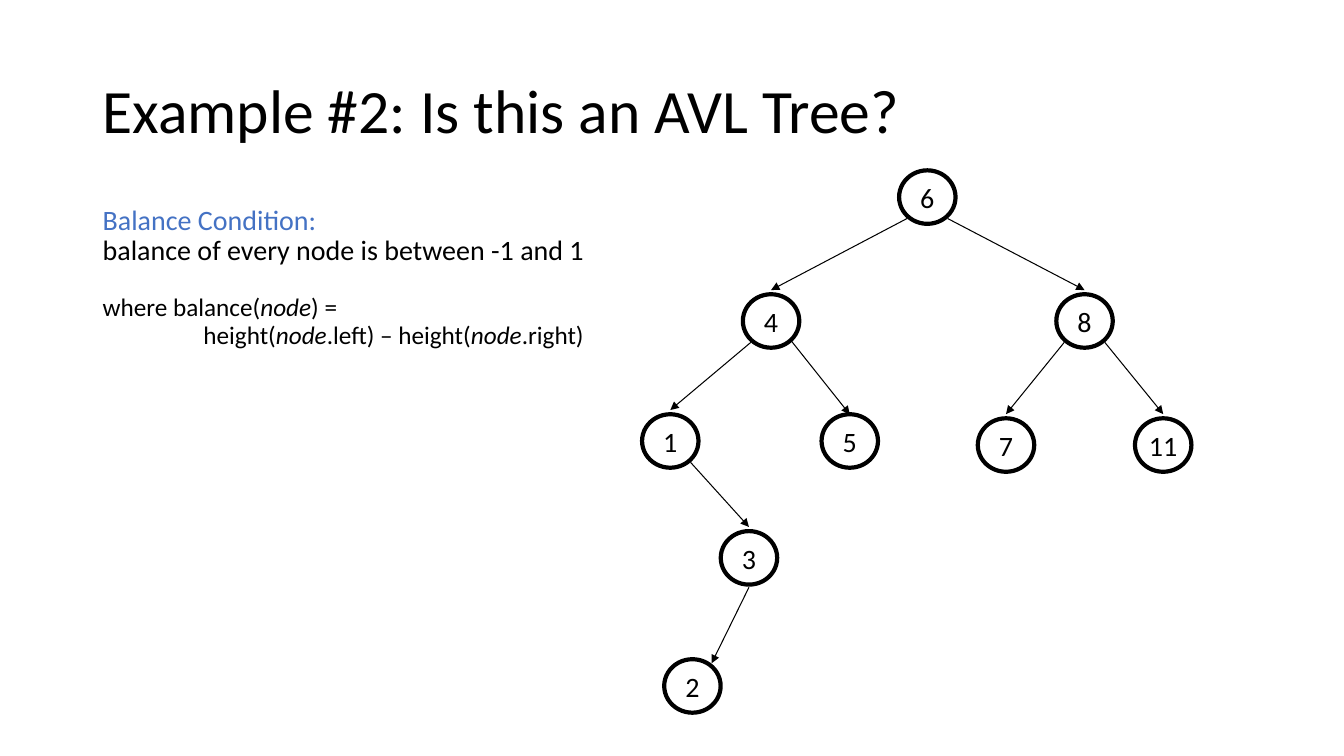
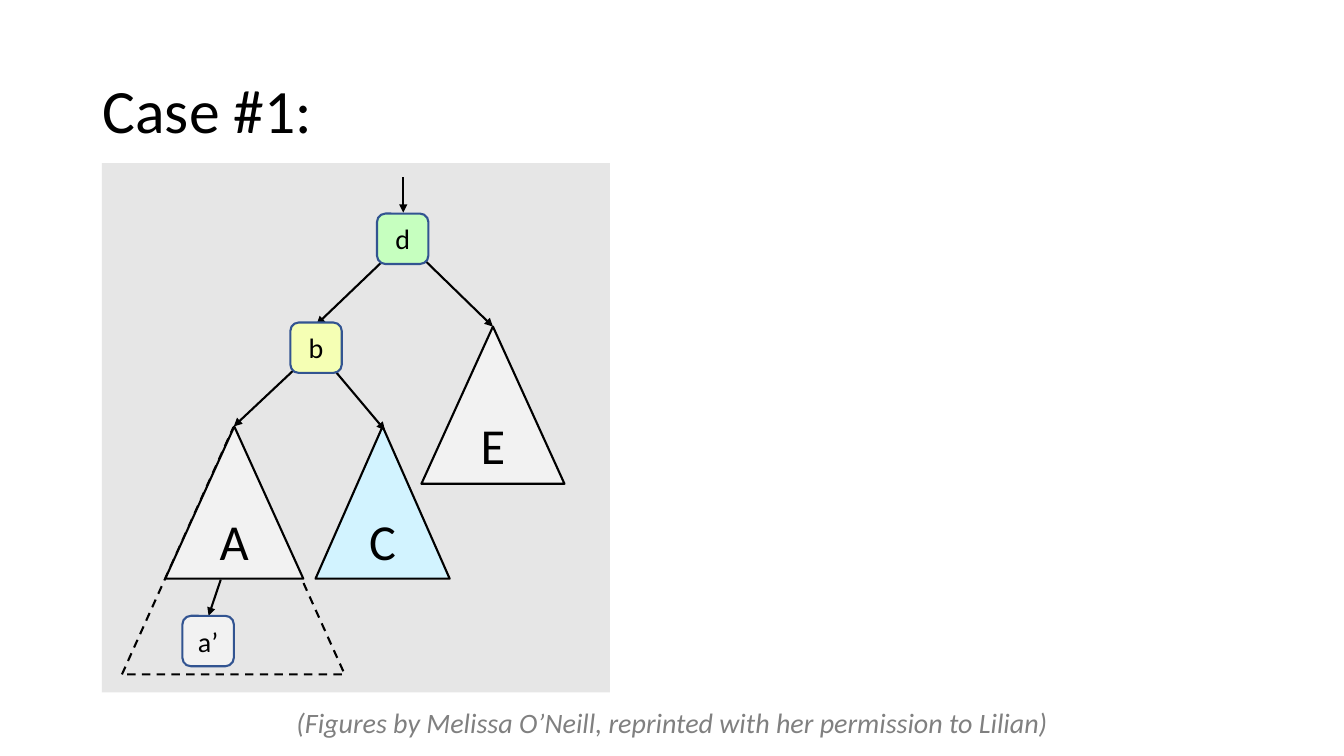
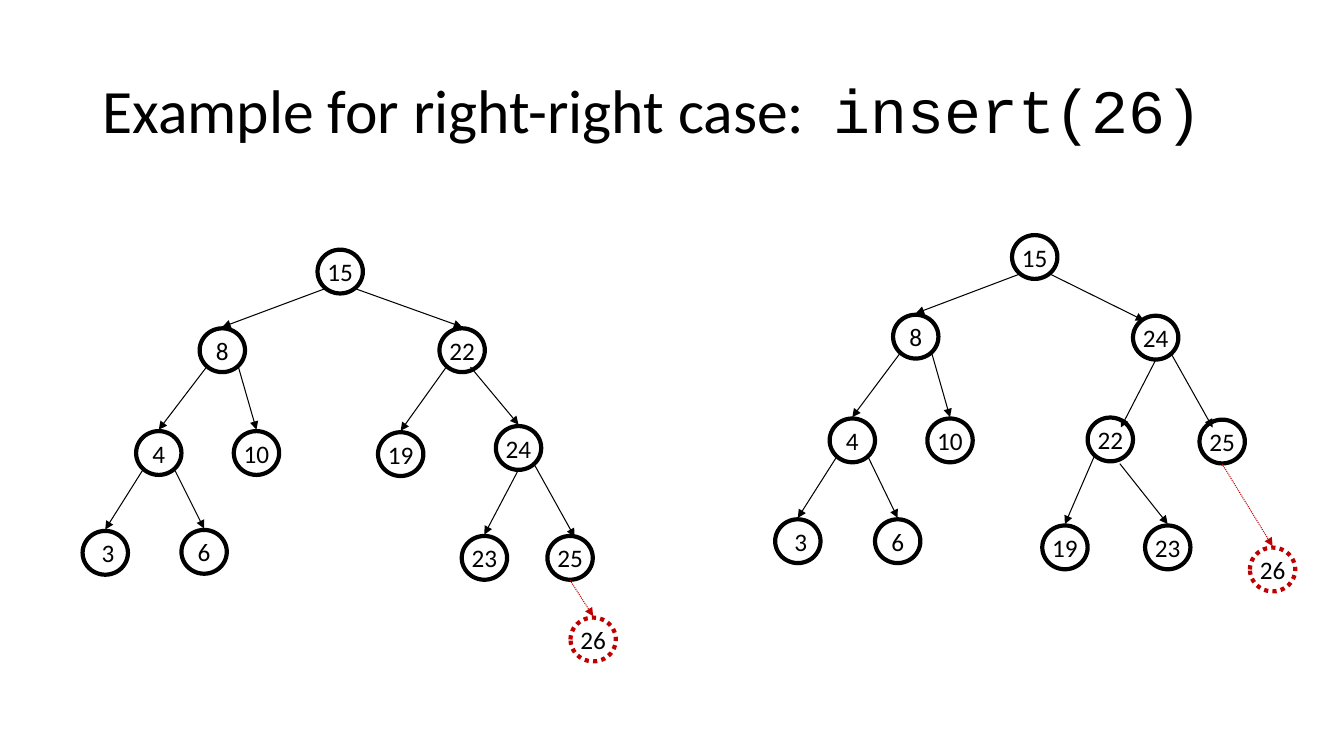
"""Build three slides about balanced search trees."""
import dataclasses

import lxml.etree
import pptx
import pptx.dml.color
import pptx.enum.dml
import pptx.enum.shapes
import pptx.enum.text
import pptx.oxml.ns
import pptx.util

Pt = pptx.util.Pt
RGBColor = pptx.dml.color.RGBColor
SHAPE = pptx.enum.shapes.MSO_SHAPE
ALIGN = pptx.enum.text.PP_ALIGN
ANCHOR = pptx.enum.text.MSO_ANCHOR
DASH = pptx.enum.dml.MSO_LINE
qn = pptx.oxml.ns.qn

BLACK = RGBColor(0x00, 0x00, 0x00)
HEADING_BLUE = RGBColor(0x44, 0x72, 0xC4)
INSERT_RED = RGBColor(0xC0, 0x00, 0x00)
PANEL_GRAY = RGBColor(0xE6, 0xE6, 0xE6)
LIGHT_GRAY = RGBColor(0xF2, 0xF2, 0xF2)
CREDIT_GRAY = RGBColor(0x80, 0x80, 0x80)
PALE_BLUE = RGBColor(0xD2, 0xF3, 0xFF)
PALE_YELLOW = RGBColor(0xF5, 0xFF, 0xB4)
PALE_GREEN = RGBColor(0xC6, 0xFF, 0xBF)
NODE_BLUE = RGBColor(0x32, 0x54, 0x91)

BODY_FONT = "Calibri"
CODE_FONT = "Courier New"
MARGIN, CONTENT_WIDTH = 66.24, 828


@dataclasses.dataclass
class Node:
    """A tree node: centre, parent key, and optional arrow offsets."""
    label: str
    x: float
    y: float
    parent: str = ""
    leave: tuple = ()
    arrive: tuple = ()
    inserted: bool = False


BALANCE_TREE = [
    Node("6", 662.4, 140.8),
    Node("4", 550.8, 229.3, "6"),
    Node("8", 774.7, 229.3, "6"),
    Node("1", 478.8, 315, "4"),
    Node("5", 607, 315, "4", leave=(13.7, 13.3), arrive=(0, -19)),
    Node("7", 718.6, 317.9, "8"),
    Node("11", 830.9, 317.9, "8"),
    Node("3", 535, 398.5, "1"),
    Node("2", 494.6, 490, "3", leave=(0, 21), arrive=(13.7, -16.2)),
]

TREE_BEFORE = [
    Node("15", 243, 194),
    Node("8", 158.8, 250.2, "15"),
    Node("22", 330.1, 250.2, "15"),
    Node("4", 113.4, 323.6, "8"),
    Node("10", 183.2, 323.6, "8"),
    Node("19", 286.2, 324.4, "22"),
    Node("24", 370.4, 320, "22", leave=(6, 12)),
    Node(" 3", 75.2, 394.9, "4"),
    Node("6", 145.8, 394.2, "4"),
    Node("23", 346, 398.5, "24", leave=(0, 15.5)),
    Node("25", 407.2, 398.5, "24", arrive=(3.2, -15)),
    Node("26", 423.7, 456.8, "25", leave=(0, 16), inserted=True),
]

TREE_AFTER = [
    Node("15", 739.1, 183.6),
    Node("8", 654.1, 240.5, "15"),
    Node("24", 825.5, 241.2, "15", arrive=(-8.3, -12.2)),
    Node("4", 608.8, 314.6, "8"),
    Node("10", 678.6, 314.6, "8"),
    Node("22", 793.1, 313.9, "24", leave=(0, 16), arrive=(7.6, -8.6)),
    Node("25", 873, 315.4, "24", arrive=(-6.8, -10)),
    Node(" 3", 569.9, 386.6, "4"),
    Node("6", 641.2, 386.6, "4"),
    Node("19", 760.7, 391, "22"),
    Node("23", 834.1, 391, "22", leave=(6.8, 17.3)),
    Node("26", 909, 406.8, "25", leave=(0, 16), inserted=True),
]


def add_paragraph(frame, runs, size=20, color=BLACK, align=ALIGN.LEFT,
                  line_spacing=1.0, before=0, indent=0, italic=False):
    """Fill the next paragraph with (text, format) runs."""
    first = frame.paragraphs[0]
    paragraph = frame.add_paragraph() if first.runs else first
    paragraph.alignment = align
    paragraph.line_spacing = line_spacing
    paragraph.space_before = Pt(before)
    if indent:
        paragraph._p.get_or_add_pPr().set("marL", str(Pt(indent)))
    for text, style in [(runs, {})] if isinstance(runs, str) else runs:
        run = paragraph.add_run()
        run.text = text
        run.font.name = style.get("font", BODY_FONT)
        run.font.size = Pt(size)
        run.font.italic = style.get("italic", italic)
        run.font.color.rgb = color
        if "tracking" in style:
            run._r.get_or_add_rPr().set("spc", str(style["tracking"] * 100))


def add_text_box(slide, left, top, width, height, anchor=ANCHOR.TOP):
    """Add a wrapping text box and return its frame."""
    frame = slide.shapes.add_textbox(
        Pt(left), Pt(top), Pt(width), Pt(height)).text_frame
    frame.word_wrap = True
    frame.vertical_anchor = anchor
    return frame


def add_title(slide, runs):
    """Add the slide title."""
    frame = add_text_box(slide, MARGIN, 28.8, CONTENT_WIDTH, 104.4, ANCHOR.MIDDLE)
    add_paragraph(frame, runs, size=44, line_spacing=0.9)


def add_figure(slide, kind, left, top, width, height, fill=None, line=None,
               weight=1.5, dash=None, label="", size=20, wrap=True):
    """Add a preset shape with an optional centred label."""
    figure = slide.shapes.add_shape(kind, Pt(left), Pt(top), Pt(width), Pt(height))
    figure.shadow.inherit = False
    if fill is None:
        figure.fill.background()
    else:
        figure.fill.solid()
        figure.fill.fore_color.rgb = fill
    if line is None:
        figure.line.fill.background()
    else:
        figure.line.color.rgb = line
        figure.line.width = Pt(weight)
        figure.line.dash_style = dash
    if label:
        frame = figure.text_frame
        frame.word_wrap = wrap
        frame.vertical_anchor = ANCHOR.MIDDLE
        if not wrap:
            frame.margin_left = frame.margin_right = 0
            frame.margin_top = frame.margin_bottom = 0
        add_paragraph(frame, label, size=size, align=ALIGN.CENTER)


def add_arrow(slide, start, end, color=BLACK, weight=1.5, dash=None):
    """Add a straight arrow between two points."""
    arrow = slide.shapes.add_connector(
        pptx.enum.shapes.MSO_CONNECTOR.STRAIGHT,
        *(Pt(value) for value in (*start, *end)))
    arrow.line.color.rgb = color
    arrow.line.width = Pt(weight)
    arrow.line.dash_style = dash
    properties = arrow._element.spPr
    lxml.etree.SubElement(properties.find(qn("a:ln")), qn("a:tailEnd"), type="triangle")
    lxml.etree.SubElement(properties, qn("a:effectLst"))


def add_tree(slide, nodes, width, height, size, gap):
    """Draw circles and parent-to-child arrows, which stop gap above the child."""
    by_label = {node.label: node for node in nodes}
    for node in nodes:
        color = INSERT_RED if node.inserted else BLACK
        dash = DASH.ROUND_DOT if node.inserted else None
        add_figure(slide, SHAPE.OVAL, node.x - width / 2, node.y - height / 2,
                   width, height, line=color, weight=3, dash=dash,
                   label=node.label, size=size, wrap=False)
        if node.parent:
            parent = by_label[node.parent]
            side = 1 if node.x > parent.x else -1
            leave_x, leave_y = node.leave or (side * 0.36 * width, 0.4 * height)
            arrive_x, arrive_y = node.arrive or (0, -height / 2 - gap)
            add_arrow(slide, (parent.x + leave_x, parent.y + leave_y),
                      (node.x + arrive_x, node.y + arrive_y), color, 0.75, dash)


def build_balance_slide(slide):
    """Ask whether a tree meets the balance condition."""
    add_title(slide, "Example #2: Is this an AVL Tree?")
    add_tree(slide, BALANCE_TREE, 40.3, 38.2, size=20, gap=3)
    condition = add_text_box(slide, MARGIN, 144, 421.2, 342.7)
    node = ("node", {"italic": True})
    add_paragraph(condition, "Balance Condition:", color=HEADING_BLUE, line_spacing=0.9)
    add_paragraph(condition, "balance of every node is between -1 and 1",
                  line_spacing=0.9)
    add_paragraph(condition, [("where balance(", {}), node, (") =", {})],
                  size=18, line_spacing=0.9, before=20)
    add_paragraph(condition,
                  [("height(", {}), node, (".left) – height(", {}), node,
                   (".right)", {})],
                  size=18, line_spacing=0.9, indent=72)


def build_case_slide(slide):
    """Show the subtree that grows out of balance."""
    add_title(slide, "Case #1:")
    add_figure(slide, SHAPE.RECTANGLE, 72.7, 116.6, 362.9, 378, fill=PANEL_GRAY)
    add_figure(slide, SHAPE.ISOSCELES_TRIANGLE, 87.1, 305.3, 159.1, 176.4,
               line=BLACK, dash=DASH.DASH)
    for label, left, top, width, height, fill in (
            ("E", 301, 233.3, 102.2, 112.3, LIGHT_GRAY),
            ("C", 225.4, 304.6, 95.8, 108.7, PALE_BLUE),
            ("A", 118.1, 304.6, 98.6, 108.7, LIGHT_GRAY)):
        add_figure(slide, SHAPE.ISOSCELES_TRIANGLE, left, top, width, height,
                   fill=fill, line=BLACK, label=label, size=36)
    for start, end in (
            ((288, 126.7), (288, 151.9)),
            ((275, 185), (226.1, 231.8)),
            ((301, 183.6), (352.1, 233.3)),
            ((214.6, 259.9), (167, 304.6)),
            ((236.9, 262.1), (275, 307.4)),
            ((157.7, 414), (149, 439.9))):
        add_arrow(slide, start, end)
    for label, left, top, fill in (
            ("d", 269.3, 152.6, PALE_GREEN),
            ("b", 207.4, 230.4, PALE_YELLOW),
            ("a’", 130.3, 439.9, LIGHT_GRAY)):
        add_figure(slide, SHAPE.ROUNDED_RECTANGLE, left, top, 36.7, 36,
                   fill=fill, line=NODE_BLUE, label=label)
    credit = add_text_box(slide, MARGIN, 476.6, CONTENT_WIDTH, 55.4, ANCHOR.BOTTOM)
    add_paragraph(credit,
                  "(Figures by Melissa O’Neill, reprinted with her permission to Lilian)",
                  color=CREDIT_GRAY, align=ALIGN.CENTER, line_spacing=0.9, italic=True)


def build_insert_slide(slide):
    """Show a tree before and after rotation for an insertion."""
    add_title(slide, [("Example for right-right case:", {}), (" ", {"tracking": 10}),
                      ("insert(26)", {"font": CODE_FONT})])
    for tree in (TREE_BEFORE, TREE_AFTER):
        add_tree(slide, tree, 32.4, 31.3, size=18, gap=1)


def main():
    """Build and save the presentation."""
    deck = pptx.Presentation()
    deck.slide_width, deck.slide_height = Pt(960), Pt(540)
    for build in (build_balance_slide, build_case_slide, build_insert_slide):
        build(deck.slides.add_slide(deck.slide_layouts[6]))
    deck.save("out.pptx")


if __name__ == "__main__":
    main()
